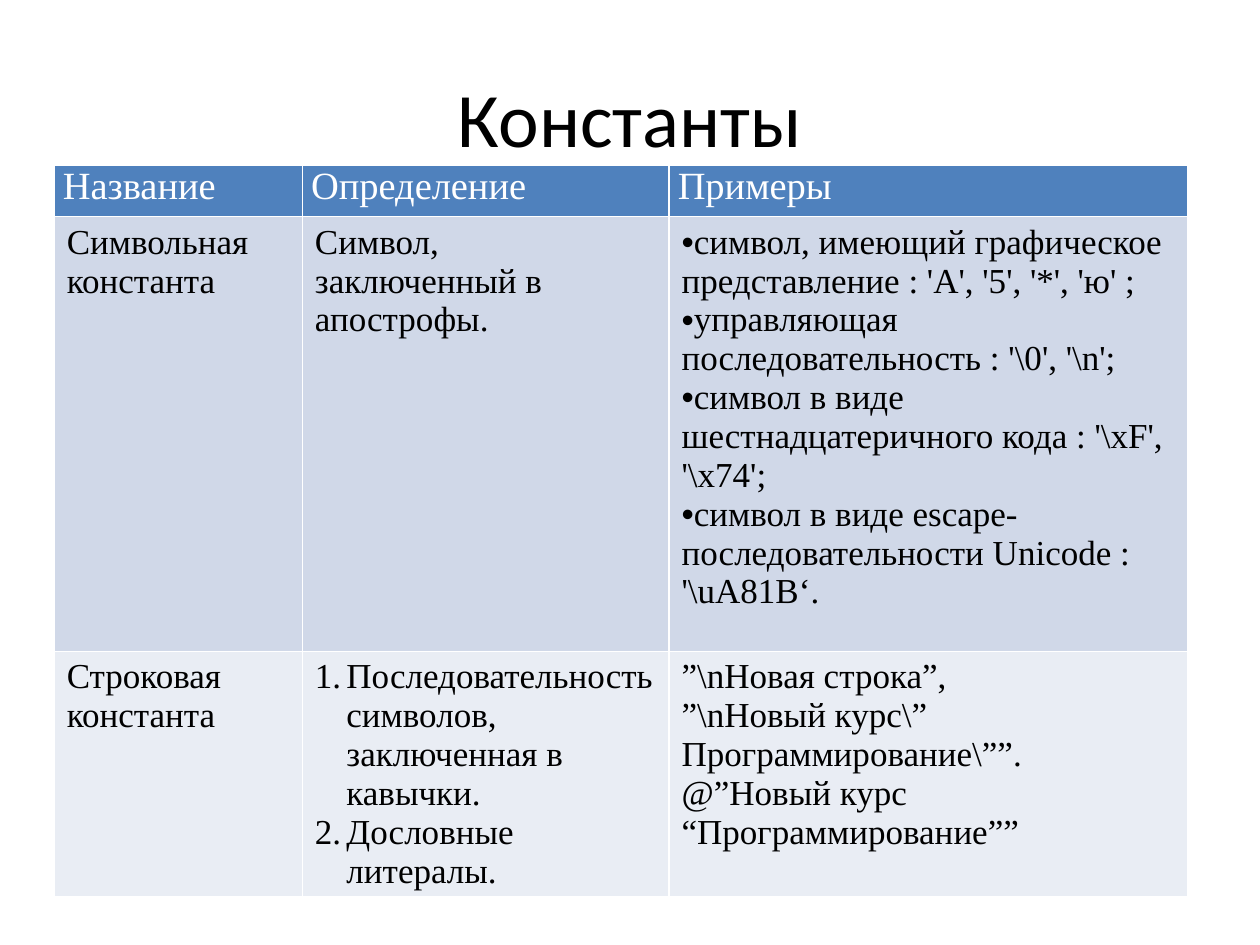
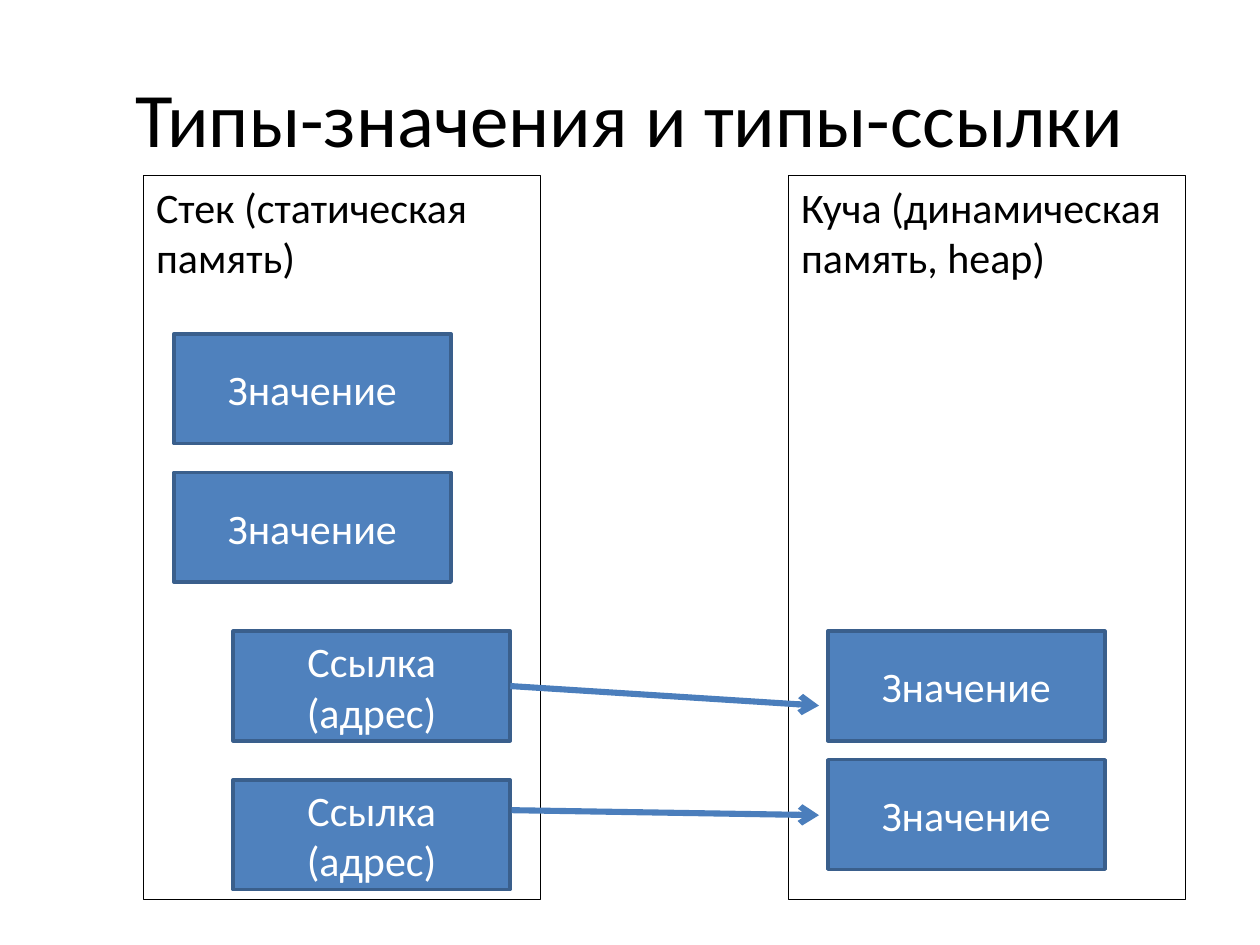
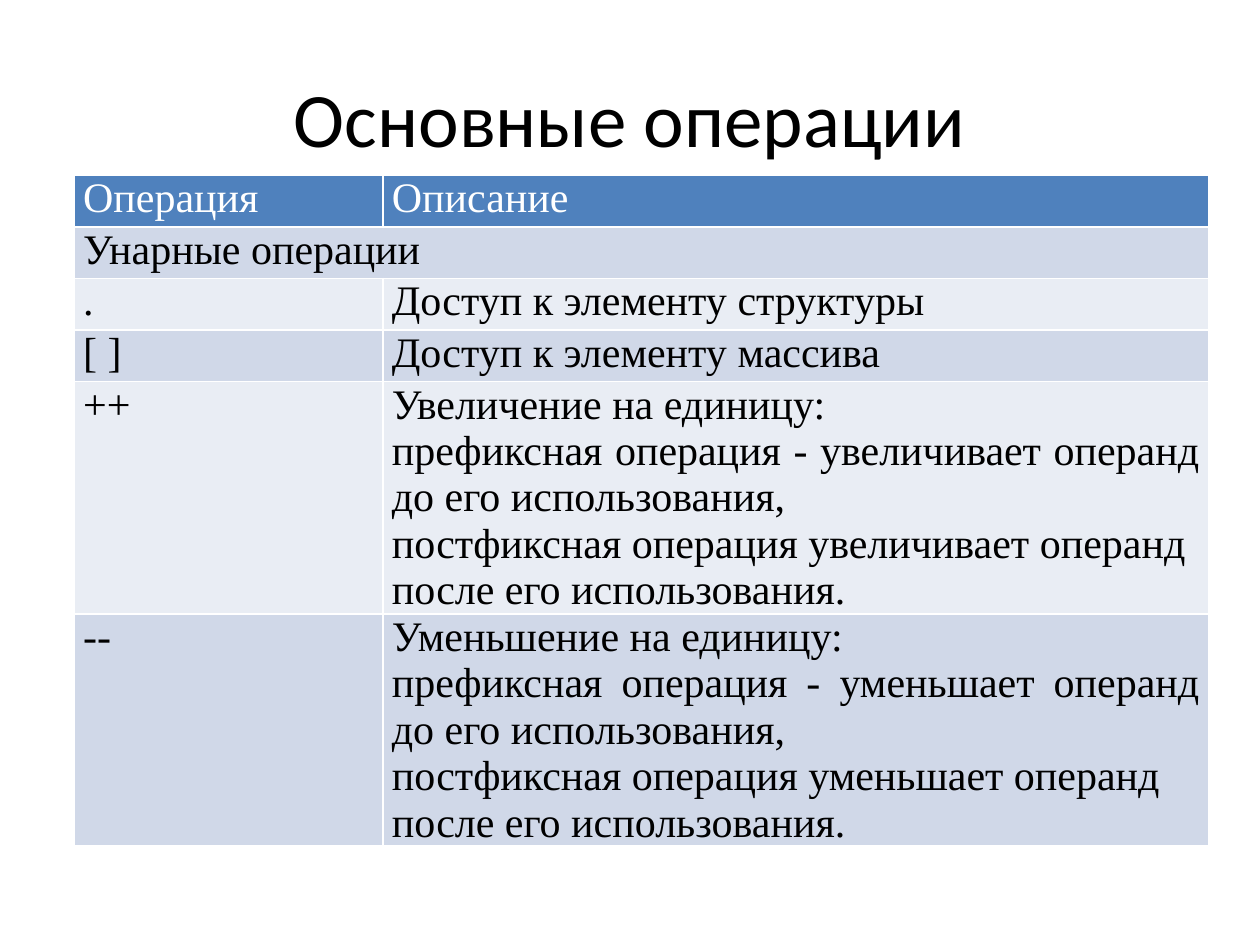
from lxml.etree import SubElement
from pptx import Presentation
from pptx.dml.color import RGBColor
from pptx.enum.shapes import MSO_CONNECTOR as Connector, MSO_SHAPE as Shape
from pptx.enum.text import MSO_ANCHOR as Anchor, PP_ALIGN as Align
from pptx.oxml.ns import qn
from pptx.util import Inches, Pt

# Shared look
BLACK = RGBColor(0x00, 0x00, 0x00)
WHITE = RGBColor(0xFF, 0xFF, 0xFF)
BLUE = RGBColor(0x4F, 0x81, 0xBD)
BOX_EDGE = RGBColor(0x3A, 0x5F, 0x8C)
ARROW_BLUE = RGBColor(0x4B, 0x7E, 0xBC)
BANDS = (RGBColor(0xD0, 0xD8, 0xE8), RGBColor(0xE9, 0xED, 0xF4))
SANS, SERIF = "Calibri", "Times New Roman"
CELL_MARGINS = {"margin_left": 0.07, "margin_right": 0.07,
                "margin_top": 0, "margin_bottom": 0}

# Paragraph kinds used in table cells
LEFT, JUSTIFY, BULLET, NUMBER = "left", "justify", "bullet", "number"

# Constants: each cell is (kind, paragraphs)
CONSTANTS = {
    "at": (0.43, 1.31), "columns": (1.97, 2.91, 4.12), "rows": (0.41, 3.45, 1.94),
    "header_size": 22, "body_size": 20, "tight_body": False,
    "cells": [
        [(JUSTIFY, ["Название"]), (JUSTIFY, ["Определение"]), (JUSTIFY, ["Примеры"])],
        [(LEFT, ["Символьная константа"]),
         (LEFT, ["Символ,", "заключенный в апострофы."]),
         (BULLET, ["символ, имеющий графическое представление : 'А', '5', '*', 'ю' ;",
                   r"управляющая последовательность : '\0', '\n';",
                   r"символ в виде шестнадцатеричного кода : '\xF', '\х74';",
                   r"символ в виде escape-последовательности Unicode : '\uA81B‘."])],
        [(LEFT, ["Строковая константа"]),
         (NUMBER, ["Последовательность символов, заключенная в кавычки.",
                   "Дословные литералы."]),
         (LEFT, [r"”\nНовая строка”,",
                 r"”\nНовый курс\” Программирование\””.",
                 "@”Новый курс “Программирование””"])],
    ],
}


def step_cell(noun, verb):
    """Description of a unary operation that changes its operand by one."""
    return (JUSTIFY, [f"{noun} на единицу:",
                      f"префиксная операция - {verb} операнд до его использования,",
                      f"постфиксная операция {verb} операнд после его использования."])


OPERATIONS = {
    "at": (0.59, 1.39), "columns": (2.45, 6.55),
    "rows": (0.41, 0.41, 0.41, 0.41, 1.84, 1.84),
    "header_size": 24, "body_size": 24, "tight_body": True,
    "cells": [
        [(LEFT, ["Операция"]), (LEFT, ["Описание"])],
        [(LEFT, ["Унарные операции"])],
        [(LEFT, ["."]), (JUSTIFY, ["Доступ к элементу структуры"])],
        [(LEFT, ["[ ]"]), (JUSTIFY, ["Доступ к элементу массива"])],
        [(LEFT, ["++"]), step_cell("Увеличение", "увеличивает")],
        [(LEFT, ["--"]), step_cell("Уменьшение", "уменьшает")],
    ],
}

# Memory diagram
PANEL_TOP, PANEL_SIZE = 1.39, (3.15, 5.75)
PANELS = [(1.14, "Стек (статическая память)"), (6.26, "Куча (динамическая память, heap)")]
BOX_SIZE = (2.2, 0.87)
VALUE, LINK = "Значение", "Ссылка (адрес)"
BOXES = [(1.38, 2.65, VALUE), (1.38, 3.75, VALUE),
         (6.57, 5.01, VALUE), (6.57, 6.03, VALUE),
         (1.85, 5.01, LINK), (1.85, 6.19, LINK)]
FIRST_LINK = 4
ARROWS = [((4.06, 5.44), (6.5, 5.6)), ((4.06, 6.43), (6.5, 6.47))]


def apply(target, values):
    for name, value in values.items():
        setattr(target, name, value)


def format_font(font, name, size, color):
    apply(font, {"name": name, "size": Pt(size), "bold": False})
    font.color.rgb = color


def add_titled_slide(presentation, title_text):
    slide = presentation.slides.add_slide(presentation.slide_layouts[5])
    title = slide.shapes.title
    apply(title, {"left": Inches(0.5), "top": Inches(0.3),
                  "width": Inches(9), "height": Inches(1.25)})
    title.text_frame.text = title_text
    title.text_frame.vertical_anchor = Anchor.MIDDLE
    paragraph = title.text_frame.paragraphs[0]
    paragraph.alignment = Align.CENTER
    format_font(paragraph.font, SANS, 44, BLACK)
    return slide


def add_marker(paragraph, kind):
    properties = paragraph._p.get_or_add_pPr()
    if kind == BULLET:
        SubElement(properties, qn("a:buFont"), typeface="Arial")
        SubElement(properties, qn("a:buChar"), char="•")
    elif kind == NUMBER:
        indent = Inches(0.25)
        properties.set("marL", str(indent))
        properties.set("indent", str(-indent))
        SubElement(properties, qn("a:buAutoNum"), type="arabicPeriod")


def fill_cell(cell, kind, lines, size, color, background):
    cell.fill.solid()
    cell.fill.fore_color.rgb = background
    frame = cell.text_frame
    frame.text = "\n".join(lines)
    for index, paragraph in enumerate(frame.paragraphs):
        # The third, closing line of a description is set flush left
        justified = kind == JUSTIFY and index < 2
        paragraph.alignment = Align.JUSTIFY if justified else Align.LEFT
        add_marker(paragraph, kind)
        format_font(paragraph.font, SERIF, size, color)


def add_banded_table(slide, content):
    columns, rows = content["columns"], content["rows"]
    left, top = content["at"]
    table = slide.shapes.add_table(
        len(rows), len(columns), Inches(left), Inches(top),
        Inches(sum(columns)), Inches(sum(rows))).table
    for column, width in zip(table.columns, columns):
        column.width = Inches(width)
    for row, height in zip(table.rows, rows):
        row.height = Inches(height)

    for row_index, cells in enumerate(content["cells"]):
        header = row_index == 0
        size = content["header_size" if header else "body_size"]
        color = WHITE if header else BLACK
        background = BLUE if header else BANDS[(row_index - 1) % 2]
        if len(cells) < len(columns):
            table.cell(row_index, 0).merge(table.cell(row_index, len(columns) - 1))
        for column_index, (kind, lines) in enumerate(cells):
            cell = table.cell(row_index, column_index)
            if header or content["tight_body"]:
                apply(cell, {side: Inches(gap) for side, gap in CELL_MARGINS.items()})
            fill_cell(cell, kind, lines, size, color, background)


def add_rectangle(slide, position, size, text, fill, edge, edge_width, color, anchor, align):
    shape = slide.shapes.add_shape(
        Shape.RECTANGLE, *(Inches(value) for value in position + size))
    shape.shadow.inherit = False
    if fill is None:
        shape.fill.background()
    else:
        shape.fill.solid()
        shape.fill.fore_color.rgb = fill
    shape.line.color.rgb = edge
    shape.line.width = Pt(edge_width)
    frame = shape.text_frame
    frame.text = text
    apply(frame, {"word_wrap": True, "vertical_anchor": anchor})
    paragraph = frame.paragraphs[0]
    paragraph.alignment = align
    format_font(paragraph.font, SANS, 24, color)
    return shape


def add_arrow(slide, start, end):
    connector = slide.shapes.add_connector(
        Connector.STRAIGHT, *(Inches(value) for value in start + end))
    connector.line.color.rgb = ARROW_BLUE
    connector.line.width = Pt(3.5)
    SubElement(connector.line._get_or_add_ln(), qn("a:tailEnd"), type="arrow")
    SubElement(connector._element.spPr, qn("a:effectLst"))
    return connector


def add_memory_diagram(slide):
    for left, label in PANELS:
        add_rectangle(slide, (left, PANEL_TOP), PANEL_SIZE, label,
                      None, BLACK, 0.75, BLACK, Anchor.TOP, Align.LEFT)
    boxes = [add_rectangle(slide, (left, top), BOX_SIZE, label,
                           BLUE, BOX_EDGE, 2, WHITE, Anchor.MIDDLE, Align.CENTER)
             for left, top, label in BOXES]
    arrows = [add_arrow(slide, start, end) for start, end in ARROWS]
    arrows[0].begin_connect(boxes[FIRST_LINK], 3)


def main():
    presentation = Presentation()
    presentation.slide_width, presentation.slide_height = Inches(10), Inches(7.5)
    add_banded_table(add_titled_slide(presentation, "Константы"), CONSTANTS)
    add_memory_diagram(add_titled_slide(presentation, "Типы-значения и типы-ссылки"))
    add_banded_table(add_titled_slide(presentation, "Основные операции"), OPERATIONS)
    presentation.save("out.pptx")


if __name__ == "__main__":
    main()
